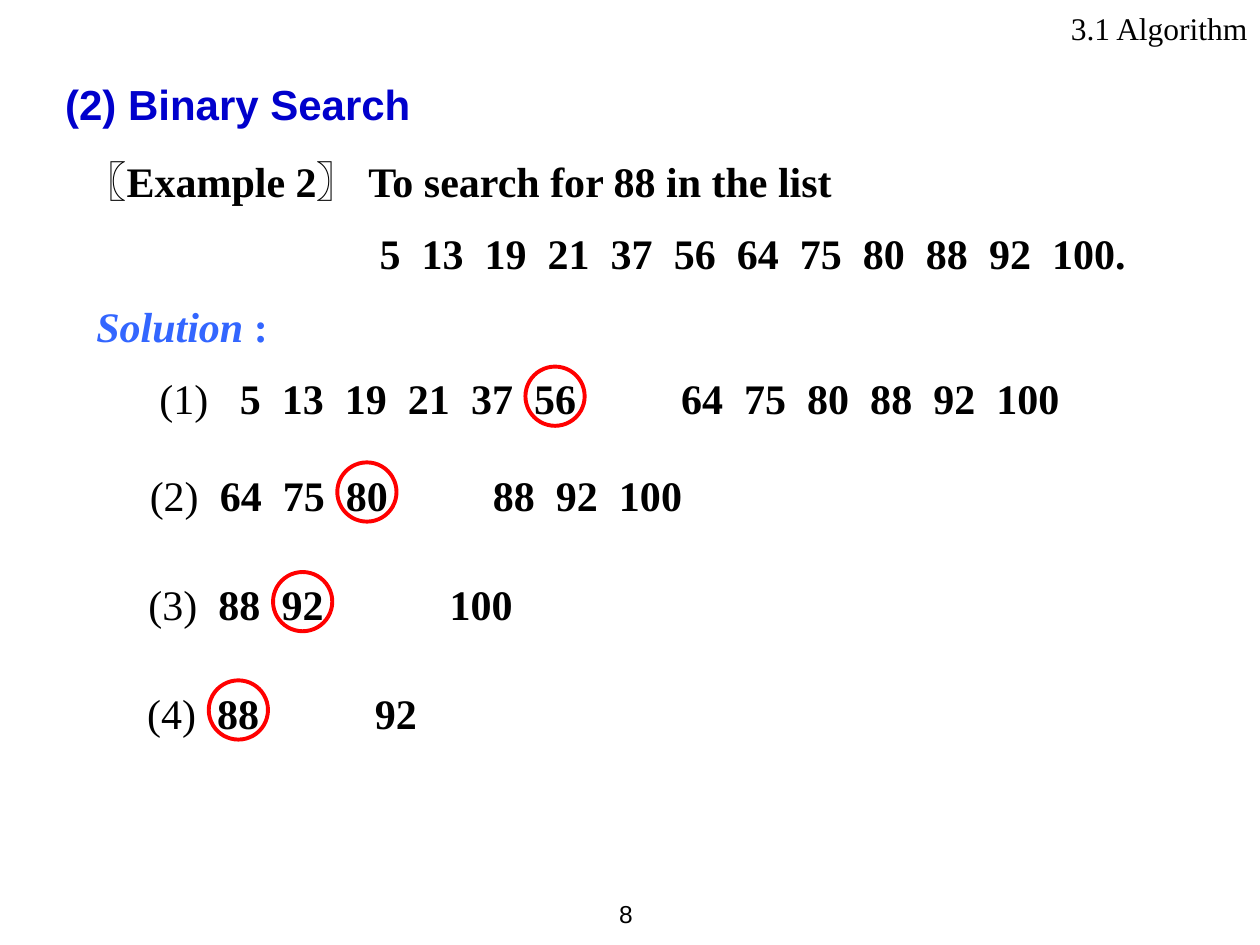
from dataclasses import dataclass

from lxml import etree
from pptx import Presentation
from pptx.dml.color import RGBColor
from pptx.enum.shapes import MSO_SHAPE
from pptx.enum.text import MSO_ANCHOR, MSO_AUTO_SIZE, PP_ALIGN
from pptx.oxml.ns import qn
from pptx.util import Pt

LEFT, RIGHT = PP_ALIGN.LEFT, PP_ALIGN.RIGHT
TOP, MIDDLE = MSO_ANCHOR.TOP, MSO_ANCHOR.MIDDLE
NO_FIT = MSO_AUTO_SIZE.NONE
ELLIPSE = MSO_SHAPE.OVAL


@dataclass(frozen=True)
class Theme:
    sans: str = "Arial"
    serif: str = "Times New Roman"
    cjk: str = "Noto Sans CJK SC"
    text: str = "000000"
    title: str = "0000CC"
    solution: str = "3366FF"
    circle: str = "FF0000"
    body_size: float = 24
    header_size: float = 18
    page_size: float = 14
    leading: float = 1.215
    inset: float = 7.2
    digit: float = 12
    space: float = 6
    gap: float = 12
    label_indent: float = 36
    label_width: float = 28
    circle_size: float = 33.84


THEME = Theme()


def add_text(p, text, font=THEME.serif, size=THEME.body_size, color=THEME.text,
             bold=False, italic=False, spacing=0):
    r = p.add_run()
    r.text = text
    f = r.font
    f.name, f.size, f.bold, f.italic = font, Pt(size), bold, italic
    f.color.rgb = RGBColor.from_string(color)
    rPr = r._r.get_or_add_rPr()
    if spacing:
        rPr.set("spc", str(round(spacing * 100)))
    if font == THEME.cjk:
        etree.SubElement(rPr, qn("a:ea"), typeface=font)
    return r


class SlideBuilder:
    """Holds the theme and the current slide and adds each kind of element."""

    def __init__(self, prs, theme):
        self.theme = theme
        self.s = prs.slides.add_slide(prs.slide_layouts[1])

    def frame(self, left, top, width, height, sp=None, anchor=TOP, wrap=True):
        box = [Pt(v) for v in (left, top, width, height)]
        if sp is None:
            sp = self.s.shapes.add_textbox(*box)
        else:
            sp.left, sp.top, sp.width, sp.height = box
        tf = sp.text_frame
        tf.auto_size, tf.word_wrap, tf.vertical_anchor = NO_FIT, wrap, anchor
        tf.margin_left = tf.margin_right = Pt(self.theme.inset)
        tf.margin_top = tf.margin_bottom = Pt(self.theme.inset / 2)
        return tf

    def paragraph(self, tf, first=True, align=LEFT, size=THEME.body_size, indent=0):
        p = tf.paragraphs[0] if first else tf.add_paragraph()
        p.alignment = align
        p.line_spacing = Pt(round(size * self.theme.leading, 1))
        p.space_before = Pt(0 if first else 12)
        pPr = p._p.get_or_add_pPr()
        pPr.set("marL", str(Pt(indent)))
        pPr.set("indent", "0")
        etree.SubElement(pPr, qn("a:buNone"))
        return p

    def gap(self, p, width):
        add_text(p, " ", bold=True, spacing=width - self.theme.space)

    def numbers(self, p, values, middle=None, split=0):
        for value in values[:-1]:
            add_text(p, value, bold=True)
            self.gap(p, split if value == middle else self.theme.gap)
        add_text(p, values[-1], bold=True)

    def step(self, tf, left, label, values, middle, split, circle_top,
             first=True, label_gap=12):
        t = self.theme
        p = self.paragraph(tf, first, indent=t.label_indent)
        add_text(p, label)
        self.gap(p, label_gap)
        self.numbers(p, values, middle, split)
        before = values[:values.index(middle)]
        offset = sum(len(v) * t.digit + t.gap for v in before) + t.digit
        center = left + t.inset + t.label_indent + t.label_width + label_gap + offset
        self.circle(center - t.circle_size / 2, circle_top)

    def circle(self, left, top):
        size = Pt(self.theme.circle_size)
        sp = self.s.shapes.add_shape(ELLIPSE, Pt(left), Pt(top), size, size)
        sp.shadow.inherit = False
        sp.fill.background()
        sp.line.color.rgb = RGBColor.from_string(self.theme.circle)
        sp.line.width = Pt(2.25)


def main():
    t = THEME
    prs = Presentation()
    prs.slide_width, prs.slide_height = Pt(720), Pt(540)
    b = SlideBuilder(prs, t)
    title, body = b.s.placeholders

    tf = b.frame(320.4, 504, 48.24, 36, anchor=MIDDLE, wrap=False)
    p = b.paragraph(tf, align=RIGHT, size=t.page_size)
    add_text(p, "8", font=t.sans, size=t.page_size)

    p = b.paragraph(b.frame(30, 41.04, 600, 36, sp=title))
    add_text(p, "(2) Binary Search", font=t.sans, color=t.title, bold=True)

    values = "5 13 19 21 37 56 64 75 80 88 92 100".split()
    tf = b.frame(35.7, 84.96, 653, 77, sp=body)
    p = b.paragraph(tf)
    for text, font in ((" ", t.serif), ("〖", t.cjk), ("Example 2", t.serif),
                       ("〗 ", t.cjk), ("To search for 88 in the list", t.serif)):
        add_text(p, text, font=font, bold=True)
    p = b.paragraph(tf, False, indent=174)
    b.numbers(p, values[:-1] + [values[-1] + "."])

    left = 48
    tf = b.frame(left, 167.76, 630, 77)
    p = b.paragraph(tf)
    add_text(p, "Solution ", color=t.solution, bold=True, italic=True)
    add_text(p, ":", color=t.solution, bold=True)
    b.step(tf, left, "(1)", values, "56", 60, 209.52, first=False, label_gap=18)

    for label, numbers, middle, split, left, top in (
        ("(2)", values[6:], "80", 60, 42.48, 264.24),
        ("(3)", values[9:], "92", 72, 41.76, 326.88),
        ("(4)", values[9:11], "88", 66, 41.04, 388.8),
    ):
        b.step(b.frame(left, top, 630, 36), left, label, numbers, middle, split, top)

    p = b.paragraph(b.frame(432, 1.2, 288, 28.8), align=RIGHT, size=t.header_size)
    add_text(p, "3.1 Algorithm", size=t.header_size)
    prs.save("out.pptx")


if __name__ == "__main__":
    main()
